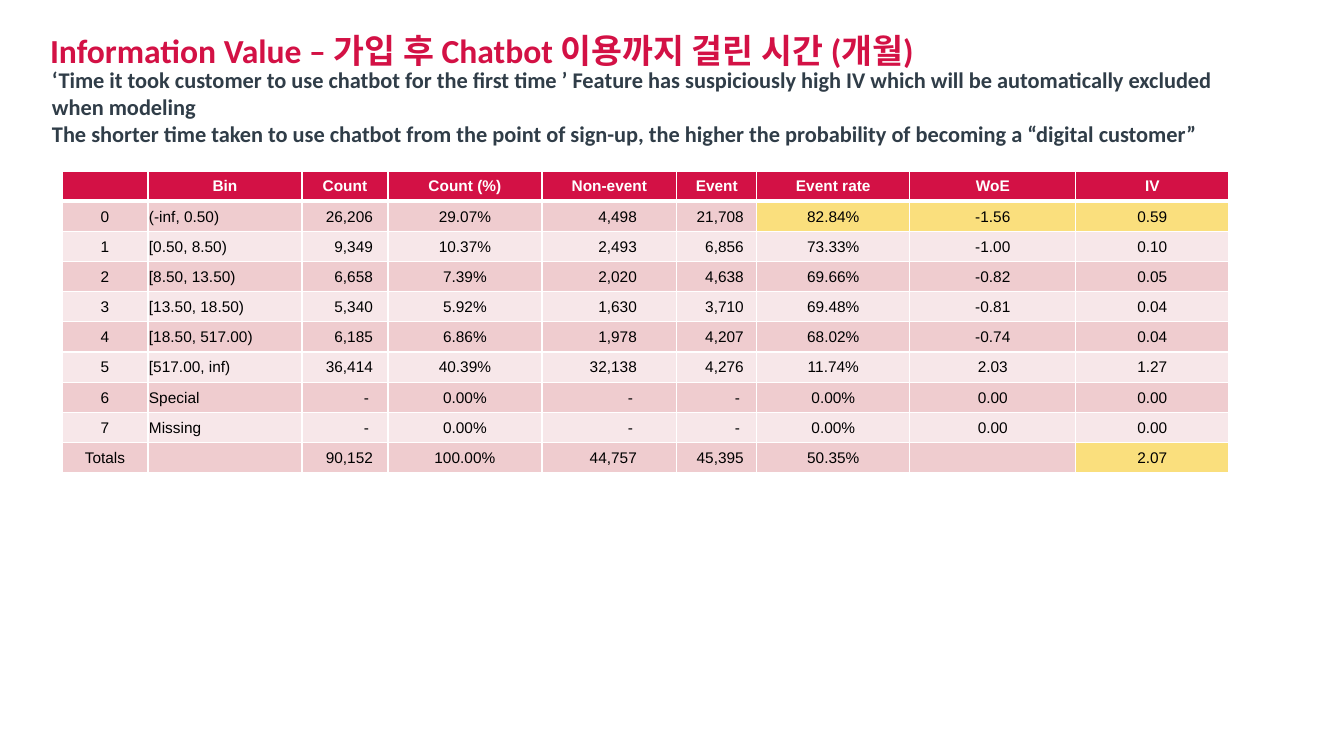
from dataclasses import dataclass
from lxml.etree import SubElement as Sub
from pptx import Presentation
from pptx.dml.color import RGBColor as RGB
from pptx.enum.text import MSO_ANCHOR as Anchor, MSO_AUTO_SIZE as Fit, PP_ALIGN as Align
from pptx.oxml.ns import qn
from pptx.util import Pt


# Colours, fonts and type sizes
@dataclass(frozen=True)
class Theme:
    red: str = "D31145"
    ink: str = "303D48"
    black: str = "000000"
    white: str = "FFFFFF"
    bands: tuple = ("EFCCCF", "F7E7E9")
    mark: str = "FADF7D"
    head: str = "Calibri"
    body: str = "Arial"
    title: int = 24
    note: int = 16
    cell: int = 11


class Deck:
    SCALE = 914400 / 100.8

    def __init__(self, theme):
        self.theme = theme
        self.prs = Presentation()
        self.prs.slide_width = self.px(1344)
        self.prs.slide_height = self.px(756)
        self.slide = self.prs.slides.add_slide(self.prs.slide_layouts[5])

    def px(self, n):
        return round(n * self.SCALE)

    def run(self, para, text, size, font, color, bold):
        run = para.add_run()
        run.text = text
        run.font.size = Pt(size)
        run.font.name = font
        run.font.bold = bold
        run.font.color.rgb = RGB.from_string(color)

    def frame(self, shape):
        frame = shape.text_frame
        frame.word_wrap = True
        frame.auto_size = Fit.NONE
        frame.vertical_anchor = Anchor.TOP
        frame.margin_left = frame.margin_right = 0
        frame.margin_top = frame.margin_bottom = 0
        return frame

    def title(self, text, x, y, w, h):
        shape = self.slide.shapes.title
        shape.left, shape.top, shape.width, shape.height = map(self.px, (x, y, w, h))
        para = self.frame(shape).paragraphs[0]
        para.alignment = Align.LEFT
        para.line_spacing = 1.25
        para.space_before = Pt(12)
        self.run(para, text, self.theme.title, self.theme.head, self.theme.red, True)

    def notes(self, lines, x, y, w, h):
        box = self.slide.shapes.add_textbox(*map(self.px, (x, y, w, h)))
        frame = self.frame(box)
        for i, line in enumerate(lines):
            para = frame.add_paragraph() if i else frame.paragraphs[0]
            self.run(para, line, self.theme.note, self.theme.head, self.theme.ink, True)

    def edges(self, cell, base):
        props = cell._tc.get_or_add_tcPr()
        fill = props.find(qn("a:solidFill"))
        for side in "LRTB":
            width = base if side == "B" else 1
            line = Sub(props, qn(f"a:ln{side}"), w=str(Pt(width)))
            Sub(Sub(line, qn("a:solidFill")), qn("a:srgbClr"), val=self.theme.white)
        props.append(fill)  # borders come before the fill

    def cell(self, cell, text, fill, color, align, bold=False, inset=1, base=1):
        cell.fill.solid()
        cell.fill.fore_color.rgb = RGB.from_string(fill)
        cell.vertical_anchor = Anchor.MIDDLE
        cell.margin_left = cell.margin_top = self.px(1)
        cell.margin_right = self.px(inset)
        cell.margin_bottom = 0
        para = cell.text_frame.paragraphs[0]
        para.alignment = align
        if text:
            self.run(para, text, self.theme.cell, self.theme.body, color, bold)
        else:
            para._p.get_or_add_endParaRPr().set("sz", str(self.theme.cell * 100))
        self.edges(cell, base)

    def table(self, heads, rows, widths, insets, marks, x, y, h):
        theme = self.theme
        count = len(rows) + 1
        table = self.slide.shapes.add_table(
            count, len(heads), *map(self.px, (x, y, sum(widths), h))).table
        table.horz_banding = False
        for col, width in zip(table.columns, widths):
            col.width = self.px(width)
        for row in table.rows:
            row.height = self.px(h) // count
        for c, head in enumerate(heads):
            self.cell(table.cell(0, c), head, theme.red, theme.white,
                      Align.CENTER, bold=True, base=3)
        for r, row in enumerate(rows):
            for c, text in enumerate(row):
                fill = theme.mark if (r, c) in marks else theme.bands[r % 2]
                align, inset = Align.CENTER, 1
                if c == 1:
                    align = Align.LEFT
                elif c in insets:
                    align = Align.RIGHT
                    inset = insets[c] + (4 if text == "-" else 0)
                self.cell(table.cell(r + 1, c), text, fill, theme.black, align, inset=inset)


# Binning results
HEADS = ("", "Bin", "Count", "Count (%)", "Non-event", "Event", "Event rate", "WoE", "IV")
ROWS = (
    ("0", "(-inf, 0.50)", "26,206", "29.07%", "4,498", "21,708", "82.84%", "-1.56", "0.59"),
    ("1", "[0.50, 8.50)", "9,349", "10.37%", "2,493", "6,856", "73.33%", "-1.00", "0.10"),
    ("2", "[8.50, 13.50)", "6,658", "7.39%", "2,020", "4,638", "69.66%", "-0.82", "0.05"),
    ("3", "[13.50, 18.50)", "5,340", "5.92%", "1,630", "3,710", "69.48%", "-0.81", "0.04"),
    ("4", "[18.50, 517.00)", "6,185", "6.86%", "1,978", "4,207", "68.02%", "-0.74", "0.04"),
    ("5", "[517.00, inf)", "36,414", "40.39%", "32,138", "4,276", "11.74%", "2.03", "1.27"),
    ("6", "Special", "-", "0.00%", "-", "-", "0.00%", "0.00", "0.00"),
    ("7", "Missing", "-", "0.00%", "-", "-", "0.00%", "0.00", "0.00"),
    ("Totals", "", "90,152", "100.00%", "44,757", "45,395", "50.35%", "", "2.07"),
)
WIDTHS = (86, 154, 86, 154, 135, 80, 153, 166, 153)
INSETS = {2: 15, 4: 40, 5: 13}  # right inset of each count column
MARKS = {(0, 6), (0, 7), (0, 8), (8, 8)}
NOTES = (
    "‘Time it took customer to use chatbot for the first time ’ Feature has suspiciously "
    "high IV which will be automatically excluded when modeling",
    "The shorter time taken to use chatbot from the point of sign-up, the higher the "
    "probability of becoming a “digital customer”",
)


def main():
    deck = Deck(Theme())
    deck.title("Information Value – 가입 후 Chatbot 이용까지 걸린 시간 (개월)", 50, 20, 1202, 45)
    deck.table(HEADS, ROWS, WIDTHS, INSETS, MARKS, 62, 171, 302)
    deck.notes(NOTES, 52, 66, 1184, 81)
    deck.prs.save("out.pptx")


if __name__ == "__main__":
    main()
